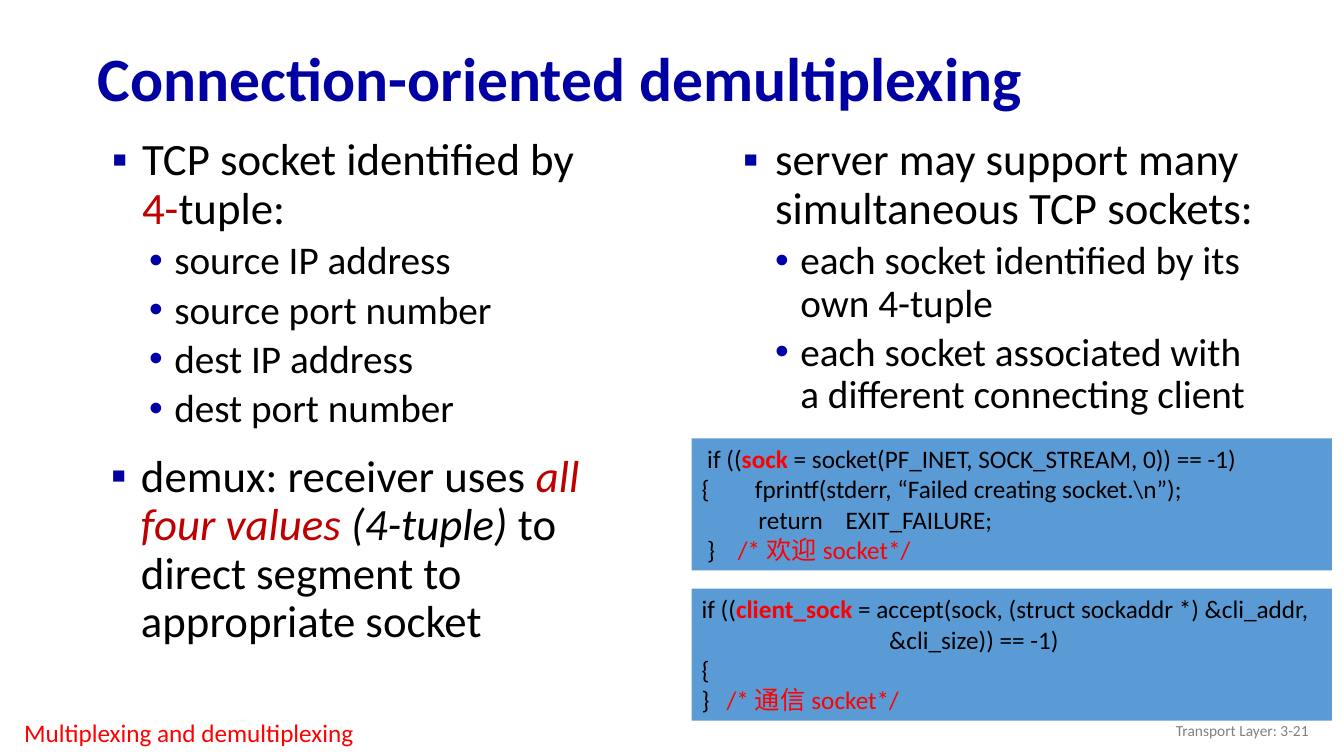
import pptx
import pptx.util
import pptx.dml.color
import pptx.enum.shapes
import pptx.enum.text
import pptx.oxml.ns
import lxml.etree
from dataclasses import dataclass

Inches = pptx.util.Inches
Pt = pptx.util.Pt
Align = pptx.enum.text.PP_ALIGN
Anchor = pptx.enum.text.MSO_ANCHOR


@dataclass(frozen=True)
class Theme:
    font: str = "Calibri"
    title: str = "0000A3"
    dot: str = "0000A8"
    text: str = "000000"
    accent: str = "C00000"
    alert: str = "FF0000"
    muted: str = "808080"
    code_fill: str = "5B9BD5"
    title_size: int = 44
    main_size: int = 32
    sub_size: int = 28
    code_size: int = 18
    number_size: int = 11


THEME = Theme()

# Content: a run is (text, format); a bullet is (level, runs)
TITLE = "Connection-oriented demultiplexing"
TOPIC = "Multiplexing and demultiplexing"
PAGE_LABEL = "Transport Layer: 3-21"

ACCENT = {"color": THEME.accent}
ALERT = {"color": THEME.alert}
ALERT_BOLD = {"color": THEME.alert, "bold": True}

TUPLE_BULLETS = [
    (0, [("TCP socket identified by ", {}), ("4-", ACCENT), ("tuple:", {})]),
    (1, [("source IP address", {})]),
    (1, [("source port number", {})]),
    (1, [("dest IP address", {})]),
    (1, [("dest port number", {})]),
]
DEMUX_BULLETS = [
    (0, [("demux: receiver uses ", {}),
         ("all four values ", {"color": THEME.accent, "italic": True}),
         ("(4-tuple)", {"italic": True}),
         (" to direct segment to appropriate socket", {})]),
]
SERVER_BULLETS = [
    (0, [("server may support many simultaneous TCP sockets:", {})]),
    (1, [("each socket identified by its own 4-tuple", {})]),
    (1, [("each socket associated with a different connecting client", {})]),
]
# (box, first-level indent, bullets)
BULLET_BOXES = [
    ((0.87, 1.31, 5.22, 3.22), (0.44, -0.3), TUPLE_BULLETS),
    ((0.86, 4.45, 5.22, 2.44), (0.44, -0.3), DEMUX_BULLETS),
    ((7.08, 1.31, 5.51, 5.44), (0.51, -0.32), SERVER_BULLETS),
]
SUB_INDENT = (0.76, -0.25)

CODE_BLOCKS = [
    [
        [(" if ((", {}), ("sock", ALERT_BOLD),
         (" = socket(PF_INET, SOCK_STREAM, 0)) == -1)", {})],
        [("{        fprintf(stderr, “Failed creating socket.\\n”);", {})],
        [("          return    EXIT_FAILURE;", {})],
        [(" }    ", {}), ("/*欢迎socket*/", ALERT)],
    ],
    [
        [("if ((", {}), ("client_sock ", ALERT_BOLD),
         ("= accept(sock, (struct sockaddr *) &cli_addr,", {})],
        [("                                 &cli_size)) == -1)", {})],
        [("{", {})],
        [("}   ", {}), ("/*通信socket*/", ALERT)],
    ],
]
CODE_LEFT, CODE_TOP, CODE_WIDTH, CODE_HEIGHT, CODE_STEP = 6.86, 4.35, 6.35, 1.31, 1.49


def add_run(paragraph, text, size, color=THEME.text, bold=False, italic=False):
    run = paragraph.add_run()
    run.text = text
    run.font.name = THEME.font
    run.font.size = Pt(size)
    run.font.color.rgb = pptx.dml.color.RGBColor.from_string(color)
    run.font.bold = bold
    run.font.italic = italic


def write_paragraph(frame, runs, size, first, align=Align.LEFT, line=None,
                    before=0, indent=None, bullet=None):
    """Fill the first paragraph or append one; bullet is (character, color)."""
    paragraph = frame.paragraphs[0] if first else frame.add_paragraph()
    paragraph.alignment = align
    paragraph.space_before = Pt(0 if first else before)
    if line:
        paragraph.line_spacing = line
    properties = paragraph._p.get_or_add_pPr()
    if indent:
        properties.set("marL", str(Inches(indent[0])))
        properties.set("indent", str(Inches(indent[1])))
    if bullet:
        qn = pptx.oxml.ns.qn
        color = lxml.etree.SubElement(properties, qn("a:buClr"))
        lxml.etree.SubElement(color, qn("a:srgbClr"), val=bullet[1])
        lxml.etree.SubElement(properties, qn("a:buFont"), typeface="Arial")
        lxml.etree.SubElement(properties, qn("a:buChar"), char=bullet[0])
    for text, run_format in runs:
        add_run(paragraph, text, size, **run_format)


def add_text_box(slide, box, anchor=Anchor.TOP):
    frame = slide.shapes.add_textbox(*map(Inches, box)).text_frame
    frame.word_wrap = True
    frame.vertical_anchor = anchor
    return frame


def add_title(slide):
    title = slide.shapes.title
    title.left, title.top, title.width, title.height = map(Inches, (0.87, 0.32, 12.14, 0.98))
    frame = title.text_frame
    frame.auto_size = pptx.enum.text.MSO_AUTO_SIZE.NONE
    frame.vertical_anchor = Anchor.MIDDLE
    write_paragraph(frame, [(TITLE, {"color": THEME.title, "bold": True})],
                    THEME.title_size, True, line=0.9)


def add_bullets(slide, box, main_indent, bullets):
    levels = [
        {"size": THEME.main_size, "before": 10, "indent": main_indent,
         "bullet": ("▪", THEME.title)},
        {"size": THEME.sub_size, "before": 5, "indent": SUB_INDENT,
         "bullet": ("•", THEME.dot)},
    ]
    frame = add_text_box(slide, box)
    for index, (level, runs) in enumerate(bullets):
        write_paragraph(frame, runs, first=index == 0, line=0.9, **levels[level])


def add_code(slide, top, lines):
    shape = slide.shapes.add_shape(
        pptx.enum.shapes.MSO_SHAPE.RECTANGLE,
        *map(Inches, (CODE_LEFT, top, CODE_WIDTH, CODE_HEIGHT)))
    shape.shadow.inherit = False
    shape.fill.solid()
    shape.fill.fore_color.rgb = pptx.dml.color.RGBColor.from_string(THEME.code_fill)
    shape.line.fill.background()
    frame = shape.text_frame
    frame.word_wrap = True
    frame.vertical_anchor = Anchor.TOP
    for index, runs in enumerate(lines):
        write_paragraph(frame, runs, THEME.code_size, index == 0)


def main():
    presentation = pptx.Presentation()
    presentation.slide_width = Inches(13.33)
    presentation.slide_height = Inches(7.5)
    slide = presentation.slides.add_slide(presentation.slide_layouts[5])

    # Title and bullet columns
    add_title(slide)
    for box, indent, bullets in BULLET_BOXES:
        add_bullets(slide, box, indent, bullets)

    # Footer: page label and topic
    label = add_text_box(slide, (10.08, 7.05, 3, 0.4), Anchor.MIDDLE)
    write_paragraph(label, [(PAGE_LABEL, {"color": THEME.muted})],
                    THEME.number_size, True, align=Align.RIGHT)
    topic = add_text_box(slide, (0.01, 7.07, 6.67, 0.4))
    write_paragraph(topic, [(TOPIC, ALERT)], THEME.code_size, True, indent=(0.44, -0.31))

    # Code panels
    for index, lines in enumerate(CODE_BLOCKS):
        add_code(slide, CODE_TOP + index * CODE_STEP, lines)

    presentation.save("out.pptx")


if __name__ == "__main__":
    main()
